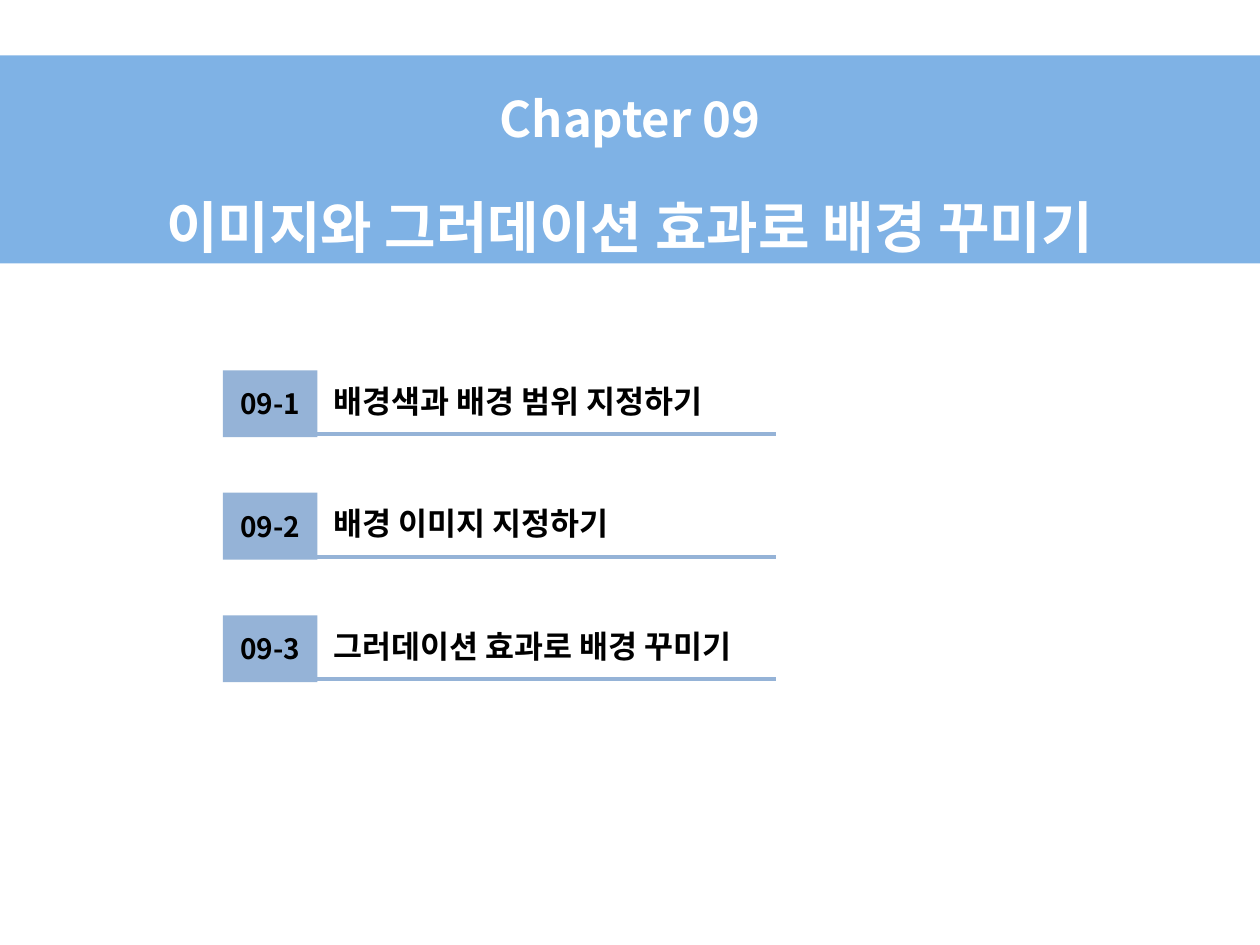
from dataclasses import dataclass

from lxml.etree import SubElement
from pptx import Presentation
from pptx.dml.color import RGBColor
from pptx.enum.shapes import MSO_CONNECTOR as Connector, MSO_SHAPE as Preset
from pptx.enum.text import MSO_ANCHOR as Anchor, MSO_AUTO_SIZE as AutoSize, PP_ALIGN as Align
from pptx.oxml.ns import qn
from pptx.slide import Slide
from pptx.util import Pt


@dataclass(frozen=True)
class Theme:
    font: str = "Noto Sans CJK KR"
    banner: RGBColor = RGBColor(0x00, 0x66, 0xCC)
    banner_alpha: int = 50
    accent: RGBColor = RGBColor(0x95, 0xB3, 0xD7)
    light: RGBColor = RGBColor(0xFF, 0xFF, 0xFF)
    dark: RGBColor = RGBColor(0x00, 0x00, 0x00)
    chapter_size: int = 28
    heading_size: int = 32
    number_size: int = 16
    section_size: int = 18
    rule_width: float = 2.25


@dataclass(frozen=True)
class Section:
    number: str
    name: str


THEME = Theme()
SECTIONS = [
    Section("09-1", "배경색과 배경 범위 지정하기"),
    Section("09-2", "배경 이미지 지정하기"),
    Section("09-3", "그러데이션 효과로 배경 꾸미기"),
]
FIRST_TOP = 211.6
SECTION_PITCH = 70


def apply_format(target: object, values: dict[str, object]) -> None:
    for name, value in values.items():
        setattr(target, name, value)


def write(paragraph, words: str, size: int, color: RGBColor) -> None:
    run = paragraph.add_run()
    run.text = words
    apply_format(run.font, {"name": THEME.font, "size": Pt(size), "bold": True})
    run.font.color.rgb = color
    SubElement(run.font._element, qn("a:ea"), typeface=THEME.font)


def set_space_before_percent(paragraph, percent: int) -> None:
    paragraph.space_before = Pt(0)
    space = paragraph._p.pPr.find(qn("a:spcBef"))
    space.clear()
    SubElement(space, qn("a:spcPct"), val=str(percent * 1000))


def draw_banner(slide: Slide, chapter: str, heading: str) -> None:
    banner = slide.shapes.title
    apply_format(banner, {"left": Pt(0), "top": Pt(31.7), "width": Pt(720), "height": Pt(118.8)})
    banner.fill.solid()
    banner.fill.fore_color.rgb = THEME.banner
    fill_color = banner._element.spPr.find(qn("a:solidFill"))[0]
    SubElement(fill_color, qn("a:alpha"), val=str(THEME.banner_alpha * 1000))

    frame = banner.text_frame
    apply_format(frame, {"vertical_anchor": Anchor.MIDDLE, "word_wrap": True, "auto_size": AutoSize.NONE})
    lines = [(chapter, THEME.chapter_size), (heading, THEME.heading_size)]
    for paragraph, (words, size) in zip([frame.paragraphs[0], frame.add_paragraph()], lines):
        apply_format(paragraph, {"alignment": Align.CENTER, "line_spacing": 1.5})
        set_space_before_percent(paragraph, 20)
        write(paragraph, words, size, THEME.light)


def draw_section(slide: Slide, section: Section, top: float) -> None:
    group = slide.shapes.add_group_shape()

    badge = group.shapes.add_shape(Preset.RECTANGLE, Pt(127.4), Pt(top), Pt(54), Pt(38.2))
    badge.shadow.inherit = False
    badge.fill.solid()
    badge.fill.fore_color.rgb = THEME.accent
    badge.line.fill.background()
    badge.text_frame.vertical_anchor = Anchor.MIDDLE
    number = badge.text_frame.paragraphs[0]
    number.alignment = Align.CENTER
    write(number, section.number, THEME.number_size, THEME.dark)

    label = group.shapes.add_textbox(Pt(183.6), Pt(top + 2.9), Pt(313.2), Pt(29))
    apply_format(label.text_frame, {"word_wrap": True, "auto_size": AutoSize.SHAPE_TO_FIT_TEXT})
    write(label.text_frame.paragraphs[0], section.name, THEME.section_size, THEME.dark)

    rule_y = Pt(top + 36.6)
    rule = group.shapes.add_connector(Connector.STRAIGHT, Pt(181), rule_y, Pt(443.5), rule_y)
    rule.line.color.rgb = THEME.accent
    rule.line.width = Pt(THEME.rule_width)
    SubElement(rule._element.spPr, qn("a:effectLst"))


def main() -> None:
    deck = Presentation()
    apply_format(deck, {"slide_width": Pt(720), "slide_height": Pt(540)})
    slide = deck.slides.add_slide(deck.slide_layouts.get_by_name("Title Only"))
    draw_banner(slide, "Chapter 09", "이미지와 그러데이션 효과로 배경 꾸미기")
    for index, section in enumerate(SECTIONS):
        draw_section(slide, section, FIRST_TOP + index * SECTION_PITCH)
    deck.save("out.pptx")


if __name__ == "__main__":
    main()
